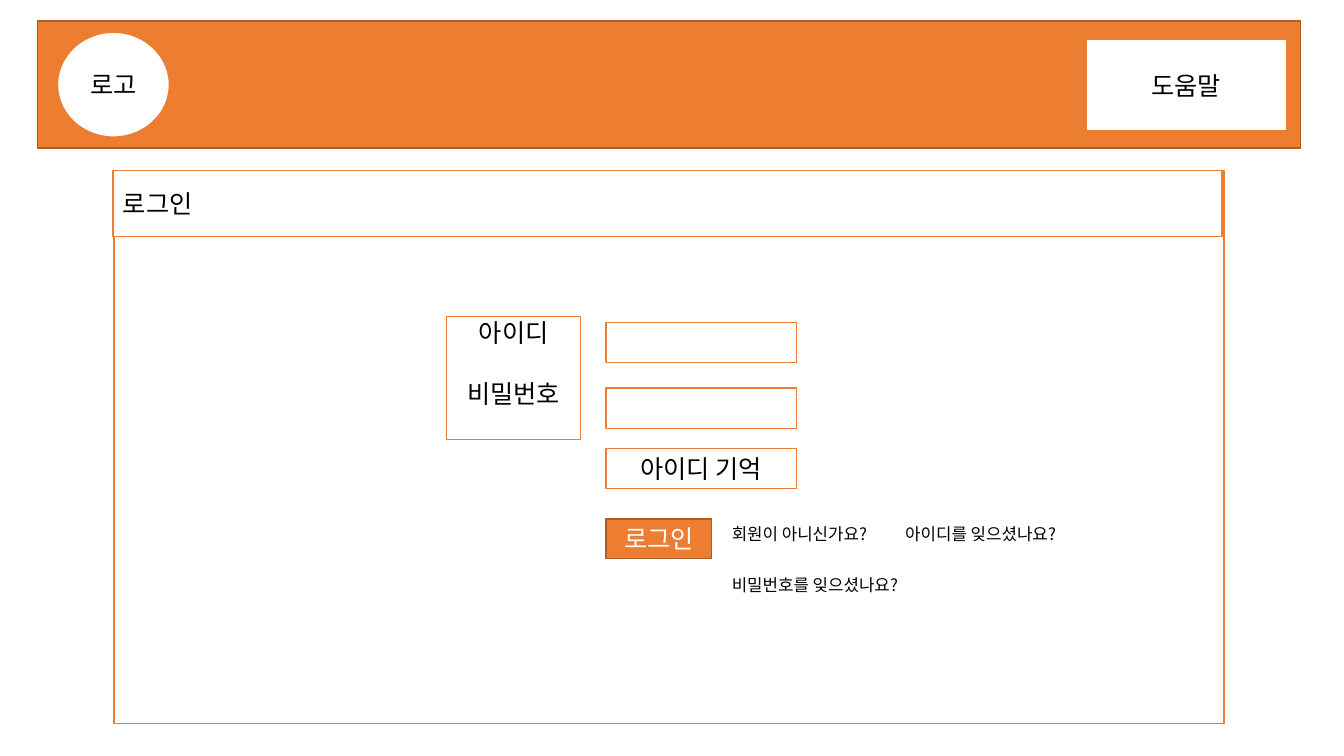
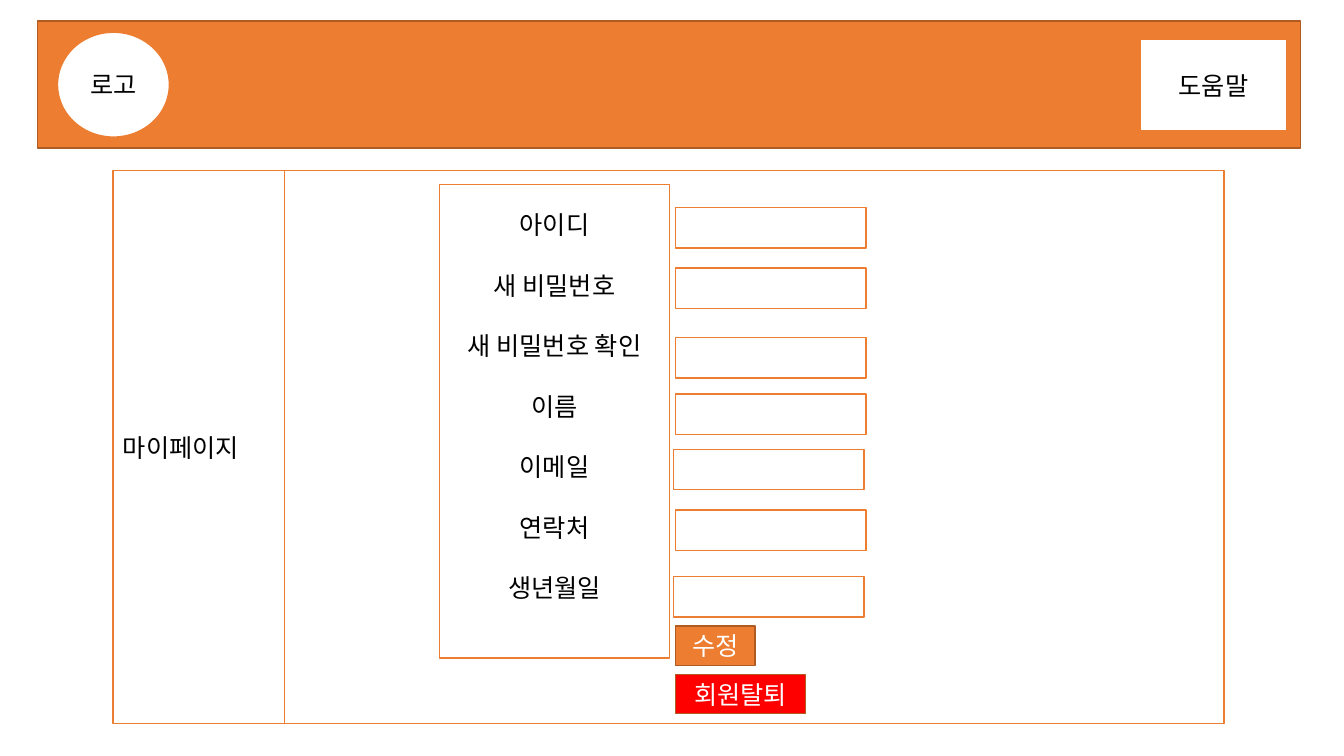
from pptx import Presentation
from pptx.dml.color import RGBColor
from pptx.enum.shapes import MSO_SHAPE as Preset
from pptx.enum.text import MSO_ANCHOR as Anchor, PP_ALIGN as Align
from pptx.oxml.ns import qn
from pptx.util import Inches, Pt


def color(value):
    return RGBColor.from_string(value)


class Wireframe:
    FONT = "Noto Sans CJK KR"
    ORANGE, DARK, RED = "ED7D31", "AF5C24", "FF0000"
    WHITE, BLACK = "FFFFFF", "000000"
    LEADING = 1.2
    FIELD_WIDTH, FIELD_HEIGHT, BUTTON_HEIGHT = 1.89, 0.4, 0.39

    def __init__(self):
        self.deck = Presentation()
        self.deck.slide_width = Inches(13.33)
        self.deck.slide_height = Inches(7.5)
        self.page = None

    def set_text(self, frame, lines, ink, size=18, align=Align.CENTER, gap=0):
        frame.word_wrap = True
        frame.text = "\n".join(lines)
        for para in frame.paragraphs:
            para.alignment = align
            para.line_spacing = Pt(size * self.LEADING)
            para.space_after = Pt(gap)
            for span in para.runs:
                span.font.size = Pt(size)
                span.font.name = self.FONT
                span.font.color.rgb = color(ink)
                east = span.font._element.makeelement(qn("a:ea"), {"typeface": self.FONT})
                span.font._element.find(qn("a:latin")).addnext(east)

    def shape(self, left, top, width, height, text="", preset=Preset.RECTANGLE,
              fill=WHITE, line=ORANGE, ink=BLACK, align=Align.CENTER):
        box = self.page.shapes.add_shape(
            preset, Inches(left), Inches(top), Inches(width), Inches(height))
        box.shadow.inherit = False
        box.fill.solid()
        box.fill.fore_color.rgb = color(fill)
        box.line.color.rgb = color(line)
        box.line.width = Pt(1)
        if text:
            box.text_frame.vertical_anchor = Anchor.MIDDLE
            self.set_text(box.text_frame, [text], ink, align=align)
        return box

    def start_page(self, help_left):
        self.page = self.deck.slides.add_slide(self.deck.slide_layouts[6])
        self.shape(0.37, 0.21, 12.53, 1.26, fill=self.ORANGE, line=self.DARK)
        self.shape(0.57, 0.32, 1.11, 1.04, "로고", Preset.OVAL)
        self.shape(help_left, 0.39, 12.76 - help_left, 0.91, "도움말")
        self.shape(1.13, 1.69, 11.01, 5.49)

    def heading(self, width, height, text):
        self.shape(1.12, 1.69, width, height, text, align=Align.LEFT)

    def field(self, left, top, text=""):
        self.shape(left, top, self.FIELD_WIDTH, self.FIELD_HEIGHT, text)

    def button(self, left, top, width, text, fill=ORANGE):
        self.shape(left, top, width, self.BUTTON_HEIGHT, text,
                   fill=fill, line=self.DARK, ink=self.WHITE)

    def labels(self, left, top, width, height, names):
        frame = self.shape(left, top, width, height).text_frame
        frame.vertical_anchor = Anchor.MIDDLE
        frame.margin_bottom = Inches(0.35)
        self.set_text(frame, names, self.BLACK, gap=21.6)

    def question(self, left, top, text):
        box = self.page.shapes.add_textbox(
            Inches(left), Inches(top), Inches(2.54), Inches(0.3))
        self.set_text(box.text_frame, [text], self.BLACK, size=12, align=Align.LEFT)


def build_login(frame):
    frame.start_page(help_left=10.77)
    frame.heading(11, 0.66, "로그인")
    frame.labels(4.43, 3.14, 1.33, 1.22, ["아이디", "비밀번호"])
    for top, text in [(3.2, ""), (3.85, ""), (4.45, "아이디 기억")]:
        frame.field(6.01, top, text)
    frame.button(6.01, 5.15, 1.05, "로그인")
    for left, top, text in [
        (7.16, 5.15, "회원이 아니신가요?"),
        (8.88, 5.15, "아이디를 잊으셨나요?"),
        (7.16, 5.65, "비밀번호를 잊으셨나요?"),
    ]:
        frame.question(left, top, text)


def build_my_page(frame):
    fields = [
        ("아이디", 6.7, 2.06),
        ("새 비밀번호", 6.7, 2.66),
        ("새 비밀번호 확인", 6.7, 3.35),
        ("이름", 6.7, 3.91),
        ("이메일", 6.68, 4.46),
        ("연락처", 6.7, 5.06),
        ("생년월일", 6.68, 5.72),
    ]
    frame.start_page(help_left=11.31)
    frame.heading(1.7, 5.49, "마이페이지")
    frame.labels(4.36, 1.83, 2.28, 4.7, [name for name, _, _ in fields])
    for _, left, top in fields:
        frame.field(left, top)
    frame.button(6.7, 6.21, 0.79, "수정")
    frame.button(6.7, 6.69, 1.29, "회원탈퇴", fill=frame.RED)


def main():
    frame = Wireframe()
    build_login(frame)
    build_my_page(frame)
    frame.deck.save("out.pptx")


if __name__ == "__main__":
    main()
